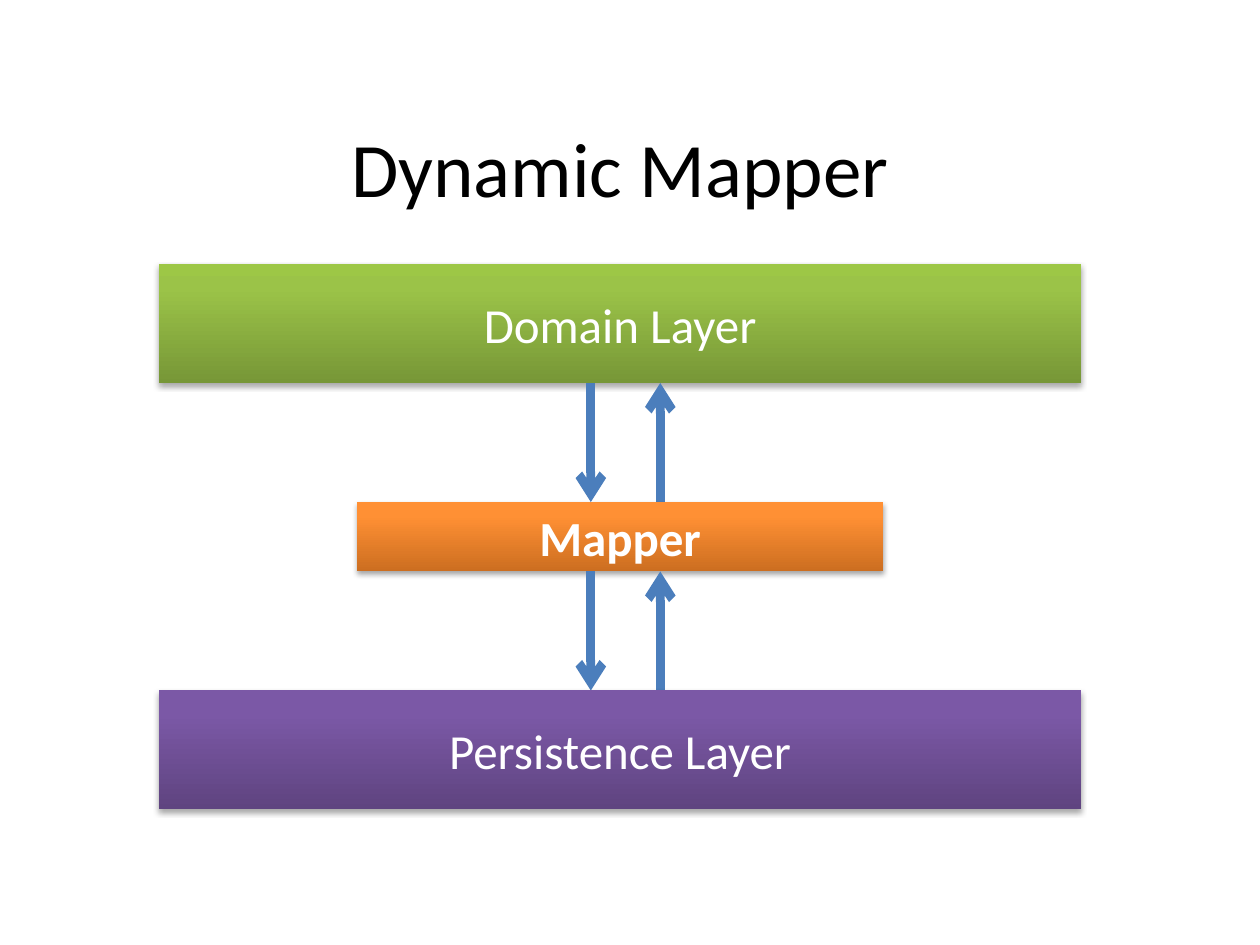
from copy import deepcopy
from dataclasses import dataclass

from lxml.etree import SubElement
from pptx import Presentation
from pptx.dml.color import RGBColor
from pptx.enum.shapes import MSO_CONNECTOR, MSO_SHAPE
from pptx.enum.text import MSO_ANCHOR, PP_ALIGN
from pptx.oxml.ns import qn
from pptx.util import Cm, Pt


@dataclass(frozen=True)
class Theme:
    font: str = "Calibri"
    title_size: int = 44
    layer_size: int = 28
    title_color: str = "000000"
    layer_color: str = "FFFFFF"
    arrow_color: str = "4B7EBC"
    arrow_width: float = 5
    green: tuple = ("779737", "9BC348", "9DC746")
    orange: tuple = ("CC6E20", "FF9034", "FF9136")
    purple: tuple = ("5F4480", "7B58A6", "7C57A8")
    stops: tuple = (0, 0.8, 1)


@dataclass(frozen=True)
class Layer:
    label: str
    width: float
    height: float
    colors: tuple
    bold: bool = False


THEME = Theme()
CENTER_X = 12.5
STACK_TOP = 5.33
GAP = 2.4
DOWN_X, UP_X = 11.91, 13.31

LAYERS = (
    Layer("Domain Layer", 18.6, 2.39, THEME.green),
    Layer("Mapper", 10.6, 1.4, THEME.orange, bold=True),
    Layer("Persistence Layer", 18.6, 2.39, THEME.purple),
)


def write_text(shape, text: str, *, size: float, color: str, bold: bool = False) -> None:
    frame = shape.text_frame
    frame.word_wrap = True
    frame.vertical_anchor = MSO_ANCHOR.MIDDLE
    paragraph = frame.paragraphs[0]
    paragraph.alignment = PP_ALIGN.CENTER
    run = paragraph.add_run()
    run.text = text
    run.font.name = THEME.font
    run.font.size = Pt(size)
    run.font.bold = bold
    run.font.color.rgb = RGBColor.from_string(color)


def fill_gradient(shape, colors: tuple) -> None:
    """Blend the colors from the bottom edge to the top edge."""
    shape.fill.gradient()
    shape.fill.gradient_angle = 90
    stop_list = shape._element.spPr.find(qn("a:gradFill")).find(qn("a:gsLst"))
    stop_list.append(deepcopy(stop_list[0]))
    for stop, position, color in zip(shape.fill.gradient_stops, THEME.stops, colors):
        stop.position = position
        stop.color.rgb = RGBColor.from_string(color)


def add_shadow(shape) -> None:
    shape.shadow.inherit = False
    effects = shape._element.spPr.find(qn("a:effectLst"))
    shadow = SubElement(effects, qn("a:outerShdw"), blurRad="40000", dist="23000",
                        dir="5400000", rotWithShape="0")
    color = SubElement(shadow, qn("a:srgbClr"), val="000000")
    SubElement(color, qn("a:alpha"), val="35000")


def add_layer(slide, layer: Layer, top: float) -> None:
    box = slide.shapes.add_shape(
        MSO_SHAPE.RECTANGLE, Cm(CENTER_X - layer.width / 2), Cm(top),
        Cm(layer.width), Cm(layer.height))
    fill_gradient(box, layer.colors)
    box.line.fill.background()
    add_shadow(box)
    write_text(box, layer.label, size=THEME.layer_size,
               color=THEME.layer_color, bold=layer.bold)


def add_arrow(slide, x: float, start_y: float, end_y: float) -> None:
    arrow = slide.shapes.add_connector(
        MSO_CONNECTOR.STRAIGHT, Cm(x), Cm(start_y), Cm(x), Cm(end_y))
    arrow.line.color.rgb = RGBColor.from_string(THEME.arrow_color)
    arrow.line.width = Pt(THEME.arrow_width)
    properties = arrow._element.spPr
    SubElement(properties.find(qn("a:ln")), qn("a:tailEnd"), type="arrow")
    SubElement(properties, qn("a:effectLst"))


def main() -> None:
    deck = Presentation()
    deck.slide_width, deck.slide_height = Cm(25.4), Cm(19.05)
    slide = deck.slides.add_slide(deck.slide_layouts[6])

    title = slide.shapes.add_textbox(Cm(1.7), Cm(1.32), Cm(21.6), Cm(4.09))
    write_text(title, "Dynamic Mapper", size=THEME.title_size, color=THEME.title_color)

    top = STACK_TOP
    for index, layer in enumerate(LAYERS):
        if index:
            add_arrow(slide, DOWN_X, top - GAP, top)
            add_arrow(slide, UP_X, top, top - GAP)
        add_layer(slide, layer, top)
        top += layer.height + GAP

    deck.save("out.pptx")


if __name__ == "__main__":
    main()
